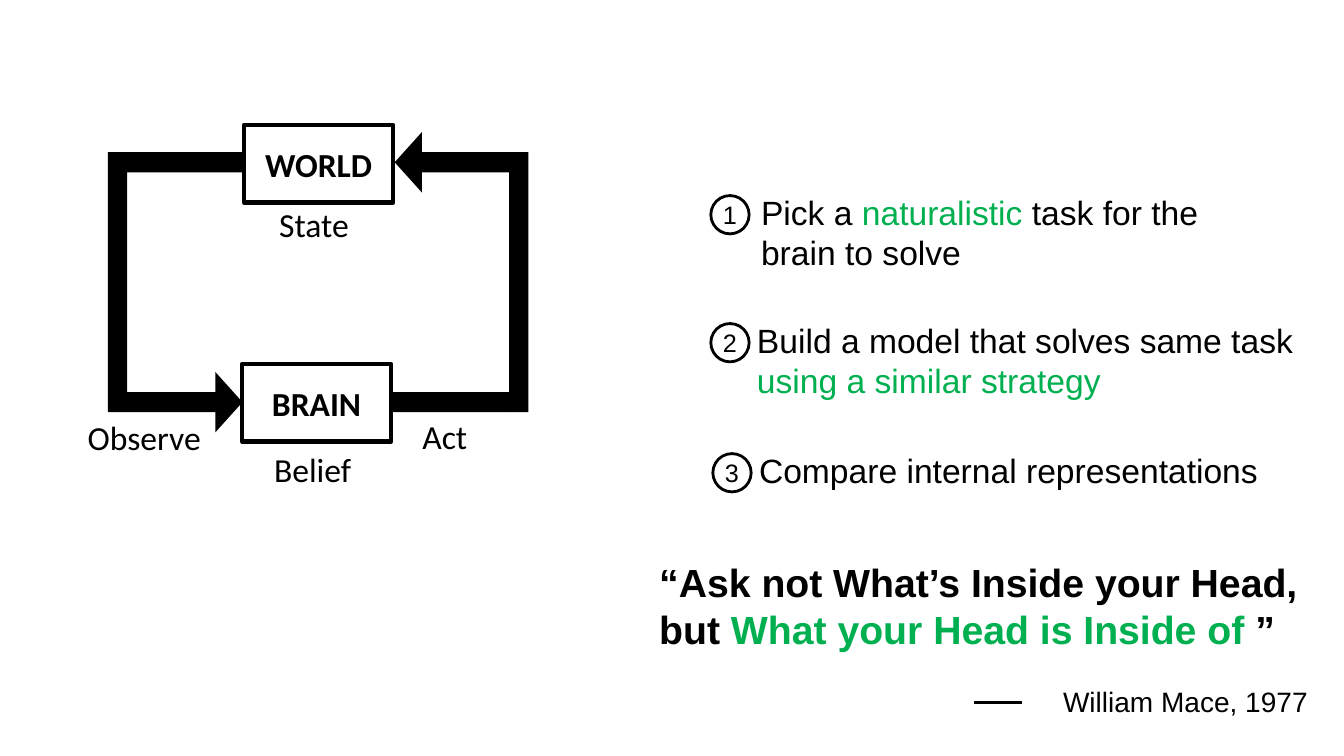
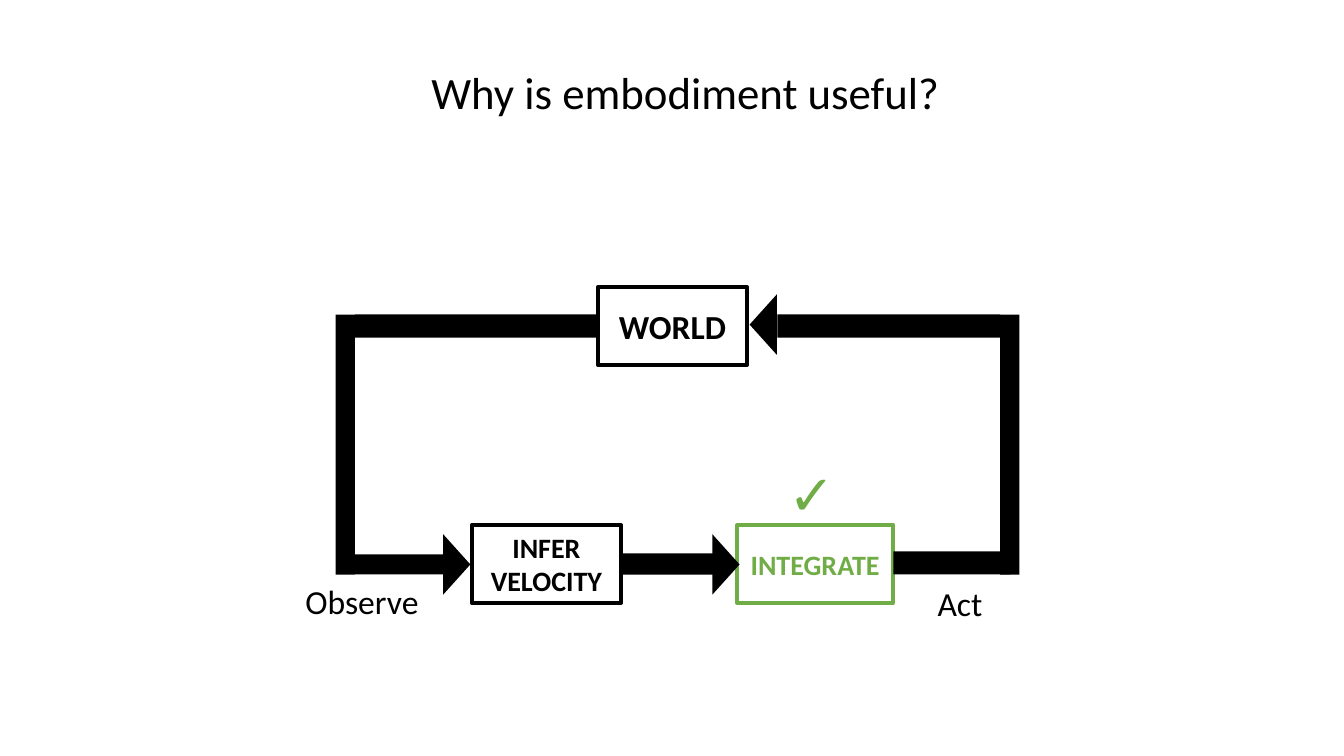
from lxml import etree
from pptx import Presentation
from pptx.dml.color import RGBColor
from pptx.enum.shapes import MSO_CONNECTOR, MSO_SHAPE
from pptx.enum.text import MSO_ANCHOR, PP_ALIGN
from pptx.oxml.ns import qn
from pptx.util import Inches, Pt

COLORS = {"black": "000000", "green": "00B050", "leaf": "70AD47"}
LEFT, CENTER, RIGHT = PP_ALIGN.LEFT, PP_ALIGN.CENTER, PP_ALIGN.RIGHT
BAR_THICKNESS = 0.19
HEAD_WIDTH, HEAD_LENGTH = 0.6, 0.27


def write(frame, paragraphs, size, font="Calibri", bold=False, align=LEFT):
    """Fill a text frame; each paragraph is a list of (text, colour name) runs."""
    frame.word_wrap = True
    for index, runs in enumerate(paragraphs):
        paragraph = frame.add_paragraph() if index else frame.paragraphs[0]
        paragraph.alignment = align
        for text, color in runs:
            run = paragraph.add_run()
            run.text = text
            run.font.name, run.font.size, run.font.bold = font, Pt(size), bold
            run.font.color.rgb = RGBColor.from_string(COLORS[color])


def add_shape(slide, kind, box, fill=None, outline=None, width=3):
    """Add a shape with no shadow; box is left, top, width, height in inches."""
    shape = slide.shapes.add_shape(kind, *map(Inches, box))
    shape.shadow.inherit = False
    if fill:
        shape.fill.solid()
        shape.fill.fore_color.rgb = RGBColor.from_string(COLORS[fill])
    else:
        shape.fill.background()
    if outline:
        shape.line.color.rgb = RGBColor.from_string(COLORS[outline])
        shape.line.width = Pt(width)
    else:
        shape.line.fill.background()
    return shape


presentation = Presentation()
presentation.slide_width, presentation.slide_height = Inches(13.33), Inches(7.5)
blank = presentation.slide_layouts[6]
strategy_slide = presentation.slides.add_slide(blank)
embodiment_slide = presentation.slides.add_slide(blank)

# Each loop: boxes (left, top, width, lines, size, colour), bars,
# arrowheads (centre x, centre y, rotation) and labels (left, top, width, text).
loops = [
    (strategy_slide,
     [(2.42, 1.24, 1.48, ["WORLD"], 24, "black"),
      (2.4, 3.61, 1.48, ["BRAIN"], 24, "black")],
     [(1.26, 1.51, 1.16, 0.2), (1.26, 3.89, 0.92, 0.2),
      (4.14, 1.51, 0.92, 0.2), (3.9, 3.89, 1.16, 0.2),
      (1.07, 1.51, BAR_THICKNESS, 2.58), (5.05, 1.51, BAR_THICKNESS, 2.58)],
     [(2.27, 3.99, 90), (4.05, 1.61, 270)],
     [(4.09, 4.08, 1.65, "Act"), (0.77, 4.09, 1.41, "Observe"),
      (2.67, 1.97, 1.34, "State"), (2.62, 4.4, 1.34, "Belief")]),
    (embodiment_slide,
     [(5.93, 2.85, 1.48, ["WORLD"], 24, "black"),
      (4.68, 5.21, 1.48, ["INFER", "VELOCITY"], 20, "black"),
      (7.31, 5.21, 1.55, ["INTEGRATE"], 20, "leaf")],
     [(3.52, 3.12, 2.41, 0.23), (3.52, 5.5, 0.92, 0.2),
      (7.71, 3.12, 2.21, 0.23), (8.86, 5.47, 1.16, 0.23), (6.17, 5.49, 0.92, 0.21),
      (3.33, 3.12, BAR_THICKNESS, 2.58), (9.92, 3.12, BAR_THICKNESS, 2.58)],
     [(4.53, 5.6, 90), (7.2, 5.6, 90), (7.57, 3.22, 270)],
     [(9.2, 5.73, 1.65, "Act"), (2.93, 5.71, 2.32, "Observe")]),
]

for slide, boxes, bars, heads, labels in loops:
    for left, top, width, lines, size, color in boxes:
        box = add_shape(slide, MSO_SHAPE.RECTANGLE, (left, top, width, 0.77), outline=color)
        frame = box.text_frame
        frame.margin_left = frame.margin_right = frame.margin_top = frame.margin_bottom = 0
        frame.vertical_anchor = MSO_ANCHOR.MIDDLE
        write(frame, [[(line, color)] for line in lines], size, bold=True, align=CENTER)
    for bar in bars:
        add_shape(slide, MSO_SHAPE.RECTANGLE, bar, fill="black")
    for x, y, rotation in heads:
        head_box = (x - HEAD_WIDTH / 2, y - HEAD_LENGTH / 2, HEAD_WIDTH, HEAD_LENGTH)
        head = add_shape(slide, MSO_SHAPE.ISOSCELES_TRIANGLE, head_box, fill="black")
        head.rotation = rotation
    for left, top, width, text in labels:
        label = slide.shapes.add_textbox(*map(Inches, (left, top, width, 0.5)))
        write(label.text_frame, [[(text, "black")]], 24)

# Numbered steps: text box, circle position, paragraphs
steps = [
    ((7.45, 1.85, 4.99, 0.91), (7.05, 1.94),
     [[("Pick a ", "black"), ("naturalistic", "green"),
       (" task for the brain to solve", "black")]]),
    ((7.41, 3.12, 5.7, 0.91), (7.05, 3.21),
     [[("Build a model that solves same task", "black")],
      [("using a similar strategy", "green")]]),
    ((7.43, 4.41, 5.34, 0.5), (7.07, 4.5),
     [[("Compare internal representations", "black")]]),
]
for number, (text_box, corner, paragraphs) in enumerate(steps, start=1):
    step = strategy_slide.shapes.add_textbox(*map(Inches, text_box))
    write(step.text_frame, paragraphs, 24, font="Arial")
    circle = add_shape(strategy_slide, MSO_SHAPE.OVAL, (*corner, 0.38, 0.38),
                       outline="black", width=2)
    frame = circle.text_frame
    frame.margin_left = frame.margin_right = frame.margin_top = frame.margin_bottom = 0
    frame.vertical_anchor = MSO_ANCHOR.MIDDLE
    write(frame, [[(str(number), "black")]], 18, font="Arial", align=CENTER)

# Quotation and its source
quote = strategy_slide.shapes.add_textbox(*map(Inches, (6.44, 5.49, 6.63, 1.72)))
write(quote.text_frame,
      [[("“Ask not What’s Inside your Head, but ", "black"),
        ("What your Head is Inside of", "green"), (" ”", "black")],
       [("William Mace, 1977", "black")]], 28, font="Arial", bold=True)
author = quote.text_frame.paragraphs[1]
author.alignment = RIGHT
author.space_before = Pt(23)
author.runs[0].font.size, author.runs[0].font.bold = Pt(20), False

dash = strategy_slide.shapes.add_connector(
    MSO_CONNECTOR.STRAIGHT, *map(Inches, (10.14, 6.97, 9.66, 6.97)))
dash.line.color.rgb = RGBColor.from_string(COLORS["black"])
dash.line.width = Pt(2)
etree.SubElement(dash._element.spPr, qn("a:effectLst"))

# Title and check mark
title = embodiment_slide.shapes.add_textbox(*map(Inches, (4.18, 0.59, 5.38, 0.64)))
write(title.text_frame, [[("Why is embodiment useful?", "black")]], 32)
check = embodiment_slide.shapes.add_textbox(*map(Inches, (7.72, 4.51, 0.36, 0.77)))
write(check.text_frame, [[("✓", "leaf")]], 40)

presentation.save("out.pptx")
